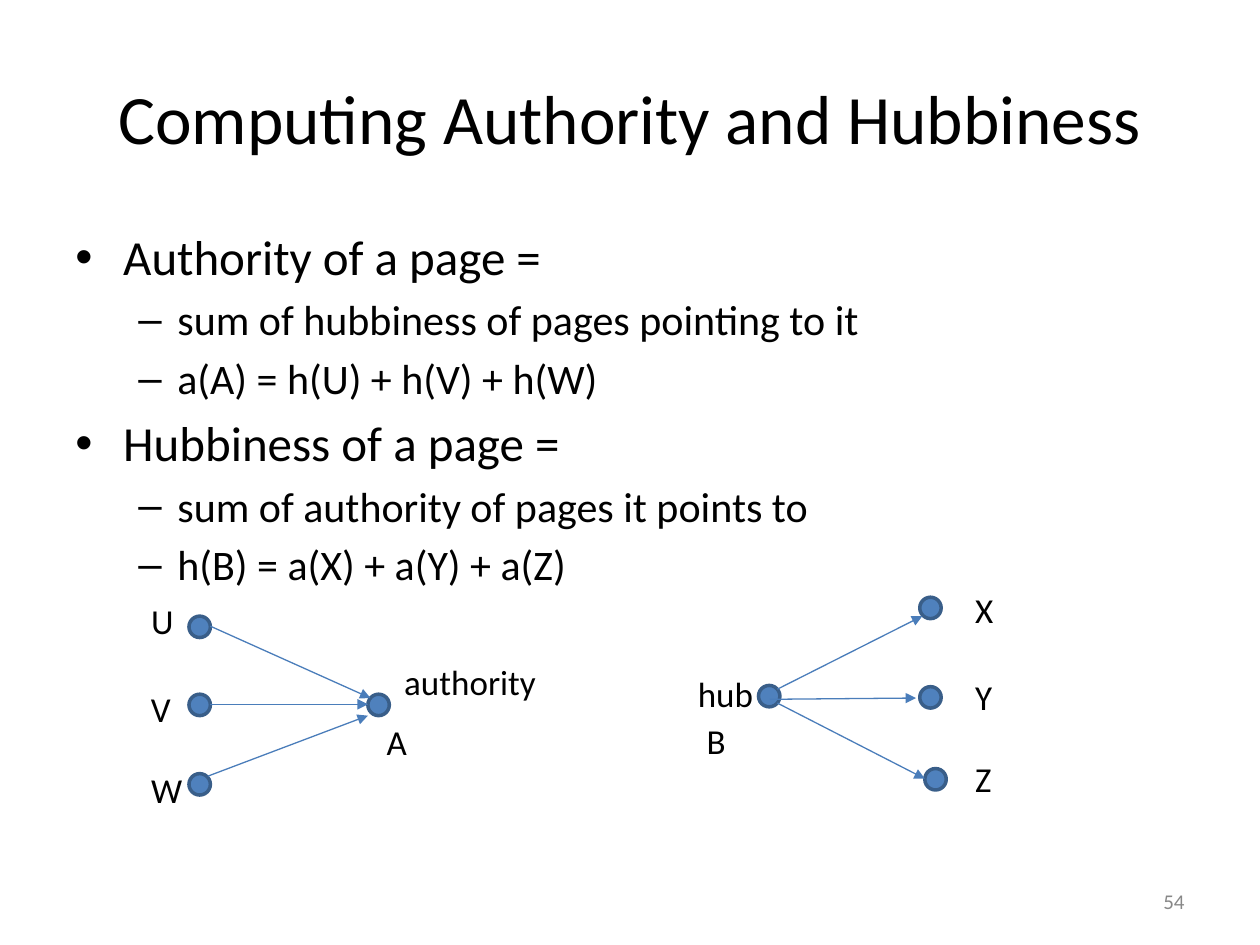
from lxml import etree
from pptx import Presentation
from pptx import util as u
from pptx.dml.color import RGBColor
from pptx.enum import shapes, text
from pptx.oxml.ns import qn

PX = 9144  # 100 px to the inch
FONT = "Calibri"
COLORS = {"ink": "000000", "number": "888888", "dot": "4F81BD",
          "rim": "395E89", "arrow": "4A7DBA"}
DOT = 17
LABEL_HEIGHT = 44

# Bullet sign, left margin, hanging indent, size, space before
LEVELS = [("•", 38, 38, 28, 5.6), ("–", 81, 31, 24, 4.8)]

BULLETS = [
    (0, "Authority of a page ="),
    (1, "sum of hubbiness of pages pointing to it"),
    (1, "a(A) = h(U) + h(V) + h(W)"),
    (0, "Hubbiness of a page ="),
    (1, "sum of authority of pages it points to"),
    (1, "h(B) = a(X) + a(Y) + a(Z)"),
]

# Positions are relative to the corner of each graph
AUTHORITY_GRAPH = {
    "dots": [(40, 18), (40, 80), (40, 143), (182, 80)],
    "arrows": [(57, 26, 184, 83), (57, 88, 182, 88), (55, 145, 182, 97)],
    "labels": [("U", 0, 0, 38), ("V", 0, 70, 36), ("W", 0, 134, 45),
               ("authority", 201, 48, 126), ("A", 187, 96, 36)],
}
HUB_GRAPH = {
    "dots": [(58, 82), (186, 12), (186, 83), (190, 148)],
    "arrows": [(73, 85, 188, 27), (67, 93, 183, 92), (73, 96, 190, 156)],
    "labels": [("hub", 0, 67, 64), ("B", 7, 104, 35), ("X", 220, 0, 35),
               ("Y", 220, 69, 34), ("Z", 220, 134, 33)],
}


def px(*lengths):
    return [u.Emu(length * PX) for length in lengths]


def rgb(name):
    return RGBColor.from_string(COLORS[name])


def style(para, size, color="ink"):
    for span in para.runs:
        span.font.name = FONT
        span.font.size = u.Pt(size)
        span.font.color.rgb = rgb(color)


def add_text(page, area, words, size, color="ink", align=text.PP_ALIGN.LEFT,
             anchor=text.MSO_ANCHOR.TOP, wrap=True):
    box = page.shapes.add_textbox(*px(*area))
    frame = box.text_frame
    frame.word_wrap = wrap
    frame.vertical_anchor = anchor
    frame.text = words
    for para in frame.paragraphs:
        para.alignment = align
        style(para, size, color)
    return box


def add_bullets(page, area, items):
    box = add_text(page, area, "\n".join(words for _, words in items), 28)
    for index, (para, (level, _)) in enumerate(zip(box.text_frame.paragraphs, items)):
        sign, margin, hanging, size, before = LEVELS[level]
        para.level = level
        para.space_before = u.Pt(before if index else 0)
        properties = para._p.get_or_add_pPr()
        properties.set("marL", str(margin * PX))
        properties.set("indent", str(-hanging * PX))
        etree.SubElement(properties, qn("a:buFont"), typeface="Arial")
        etree.SubElement(properties, qn("a:buChar"), char=sign)
        style(para, size)


def add_dot(page, left, top):
    dot = page.shapes.add_shape(shapes.MSO_SHAPE.OVAL, *px(left, top, DOT, DOT))
    dot.shadow.inherit = False
    dot.fill.solid()
    dot.fill.fore_color.rgb = rgb("dot")
    dot.line.color.rgb = rgb("rim")
    dot.line.width = u.Pt(2)


def add_arrow(page, *ends):
    arrow = page.shapes.add_connector(shapes.MSO_CONNECTOR.STRAIGHT, *px(*ends))
    arrow.line.color.rgb = rgb("arrow")
    arrow.line.width = u.Pt(0.75)
    etree.SubElement(arrow.line._get_or_add_ln(), qn("a:tailEnd"), type="triangle")
    etree.SubElement(arrow._element.spPr, qn("a:effectLst"))


def add_graph(page, left, top, graph):
    for x, y in graph["dots"]:
        add_dot(page, left + x, top + y)
    for x1, y1, x2, y2 in graph["arrows"]:
        add_arrow(page, left + x1, top + y1, left + x2, top + y2)
    for words, x, y, width in graph["labels"]:
        add_text(page, (left + x, top + y, width, LABEL_HEIGHT), words, 20, wrap=False)


def main():
    deck = Presentation()
    deck.slide_width, deck.slide_height = px(1000, 750)
    page = deck.slides.add_slide(deck.slide_layouts[6])

    # Title and bullets
    add_text(page, (50, 30, 900, 125), "Computing Authority and Hubbiness", 39.6,
             align=text.PP_ALIGN.CENTER, anchor=text.MSO_ANCHOR.MIDDLE)
    add_bullets(page, (50, 175, 900, 495), BULLETS)

    # Link graphs
    add_graph(page, 110, 471, AUTHORITY_GRAPH)
    add_graph(page, 544, 462, HUB_GRAPH)

    # Page number
    add_text(page, (717, 695, 233, 40), "54", 12, "number",
             text.PP_ALIGN.RIGHT, text.MSO_ANCHOR.MIDDLE)

    deck.save("out.pptx")


if __name__ == "__main__":
    main()
